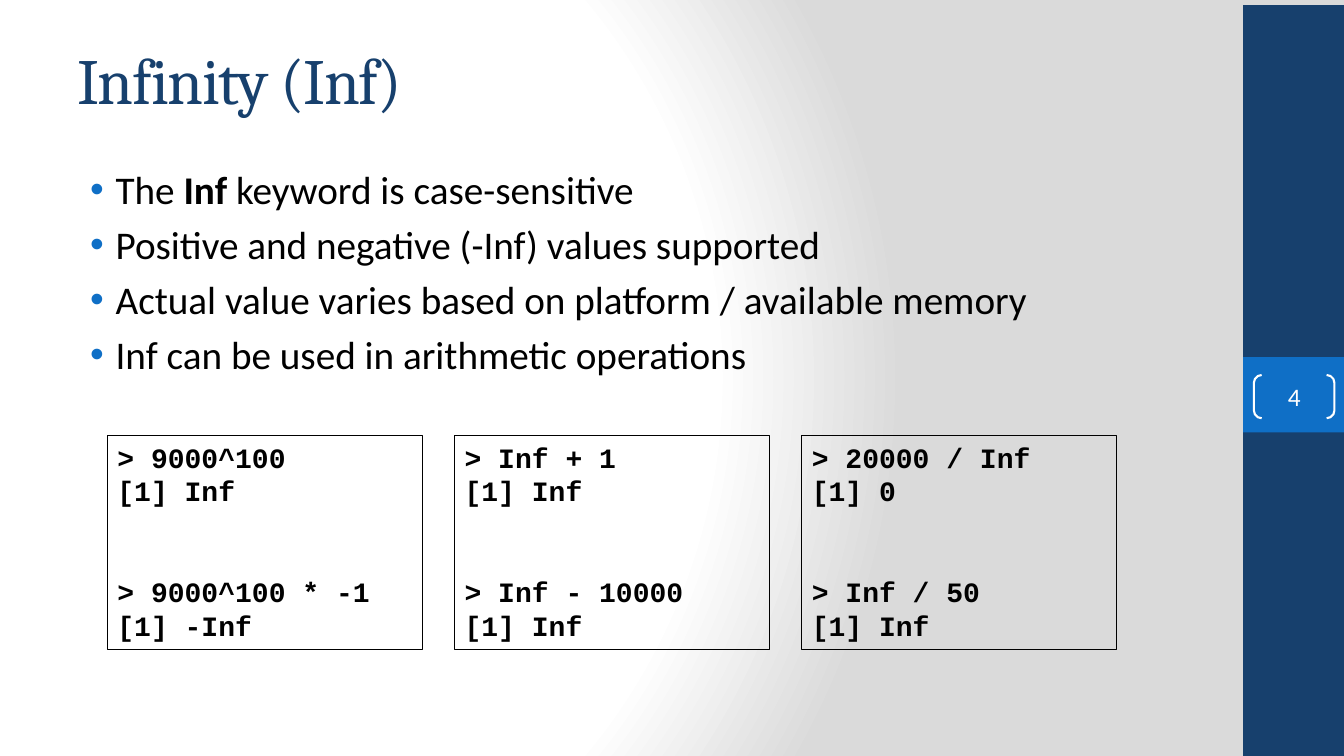
from lxml.etree import SubElement
from pptx import Presentation
from pptx.dml.color import RGBColor
from pptx.enum.shapes import MSO_SHAPE
from pptx.enum.text import MSO_ANCHOR, MSO_AUTO_SIZE, PP_ALIGN
from pptx.oxml import parse_xml
from pptx.oxml.ns import nsdecls, qn
from pptx.util import Cm, Pt

NAVY, BLUE, WHITE, BLACK = "17406D", "0F6FC6", "FFFFFF", "000000"


def set_font(font, name, size, color, bold=False):
    font.name, font.size, font.bold = name, Pt(size), bold
    font.color.rgb = RGBColor.from_string(color)


def add_box(kind, left, top, width, height, fill=None, line=None, line_width=0.75):
    """Add a shape, with lengths in centimetres; no fill or line unless given."""
    shape = slide.shapes.add_shape(kind, Cm(left), Cm(top), Cm(width), Cm(height))
    shape.shadow.inherit = False
    for part, color in ((shape.fill, fill), (shape.line.fill, line)):
        if color:
            part.solid()
            part.fore_color.rgb = RGBColor.from_string(color)
        else:
            part.background()
    if line:
        shape.line.width = Pt(line_width)
    return shape


presentation = Presentation()
presentation.slide_width, presentation.slide_height = Cm(33.87), Cm(19.05)
slide = presentation.slides.add_slide(presentation.slide_layouts[1])

# Background: white glow fading to grey
slide.background.fill.solid()
properties = slide.background.fill._xPr
properties.replace(properties.find(qn("a:solidFill")), parse_xml(
    f'<a:gradFill {nsdecls("a")} rotWithShape="1"><a:gsLst>'
    '<a:gs pos="0"><a:srgbClr val="FFFFFF"/></a:gs>'
    '<a:gs pos="75000"><a:srgbClr val="FFFFFF"/></a:gs>'
    '<a:gs pos="100000"><a:srgbClr val="DADADA"/></a:gs></a:gsLst>'
    '<a:path path="circle"><a:fillToRect l="20000" t="50000" r="100000" b="50000"/>'
    '</a:path></a:gradFill>'))

# Side band with the slide number
add_box(MSO_SHAPE.RECTANGLE, 31.33, 0.13, 2.54, 18.92, fill=NAVY)
add_box(MSO_SHAPE.RECTANGLE, 31.33, 9, 2.54, 1.9, fill=BLUE)
number = add_box(MSO_SHAPE.DOUBLE_BRACKET, 31.6, 9.45, 2.03, 1.09, line=WHITE, line_width=1.5)
number.adjustments[0] = 0.18
frame = number.text_frame
frame.margin_left = frame.margin_right = frame.margin_top = frame.margin_bottom = 0
frame.vertical_anchor = MSO_ANCHOR.MIDDLE
frame.text = "4"
frame.paragraphs[0].alignment = PP_ALIGN.CENTER
set_font(frame.paragraphs[0].font, "Calibri", 18, WHITE)

# Title
title = slide.shapes.title
title.left, title.top, title.width, title.height = Cm(1.69), Cm(0.76), Cm(28.22), Cm(2.46)
title.text_frame.text = "Infinity (Inf)"
title.text_frame.vertical_anchor = MSO_ANCHOR.MIDDLE
paragraph = title.text_frame.paragraphs[0]
paragraph.alignment = PP_ALIGN.LEFT
set_font(paragraph.font, "Cambria", 46, NAVY)
paragraph.runs[0].font._element.set("spc", "-100")

# Bullets, each a list of (text, bold) runs
bullets = [
    [("The ", False), ("Inf", True), (" keyword is case-sensitive", False)],
    [("Positive and negative (-Inf) values supported", False)],
    [("Actual value varies based on platform / available memory", False)],
    [("Inf can be used in arithmetic operations", False)],
]
body = slide.placeholders[1]
body.left, body.top, body.width, body.height = Cm(1.69), Cm(4.04), Cm(28.22), Cm(13.94)
frame = body.text_frame
frame.auto_size = MSO_AUTO_SIZE.NONE
for index, runs in enumerate(bullets):
    paragraph = frame.add_paragraph() if index else frame.paragraphs[0]
    paragraph.space_before = Pt(5.6 if index else 0)
    layout = paragraph._p.get_or_add_pPr()
    layout.set("marL", str(Cm(0.97)))
    layout.set("indent", str(Cm(-0.64)))
    SubElement(SubElement(layout, qn("a:buClr")), qn("a:srgbClr")).set("val", BLUE)
    SubElement(layout, qn("a:buFont")).set("typeface", "Arial")
    SubElement(layout, qn("a:buChar")).set("char", "•")
    set_font(paragraph.font, "Calibri", 28, BLACK)
    for text, bold in runs:
        run = paragraph.add_run()
        run.text = text
        if bold:
            run.font.bold = True

# Console examples: two commands with their results in each box
examples = [
    ["> 9000^100", "[1] Inf", "> 9000^100 * -1", "[1] -Inf"],
    ["> Inf + 1", "[1] Inf", "> Inf - 10000", "[1] Inf"],
    ["> 20000 / Inf", "[1] 0", "> Inf / 50", "[1] Inf"],
]
for column, lines in enumerate(examples):
    console = add_box(MSO_SHAPE.RECTANGLE, 2.71 + column * 8.75, 10.97, 7.94, 5.39, line=BLACK)
    frame = console.text_frame
    frame.word_wrap = True
    frame.vertical_anchor = MSO_ANCHOR.TOP
    for index, line in enumerate(lines):
        paragraph = frame.add_paragraph() if index else frame.paragraphs[0]
        paragraph.text = line
        paragraph.alignment = PP_ALIGN.LEFT
        if index == 2:
            paragraph.space_before = Pt(48)
        set_font(paragraph.font, "Courier New", 20, BLACK, bold=True)

presentation.save("out.pptx")
